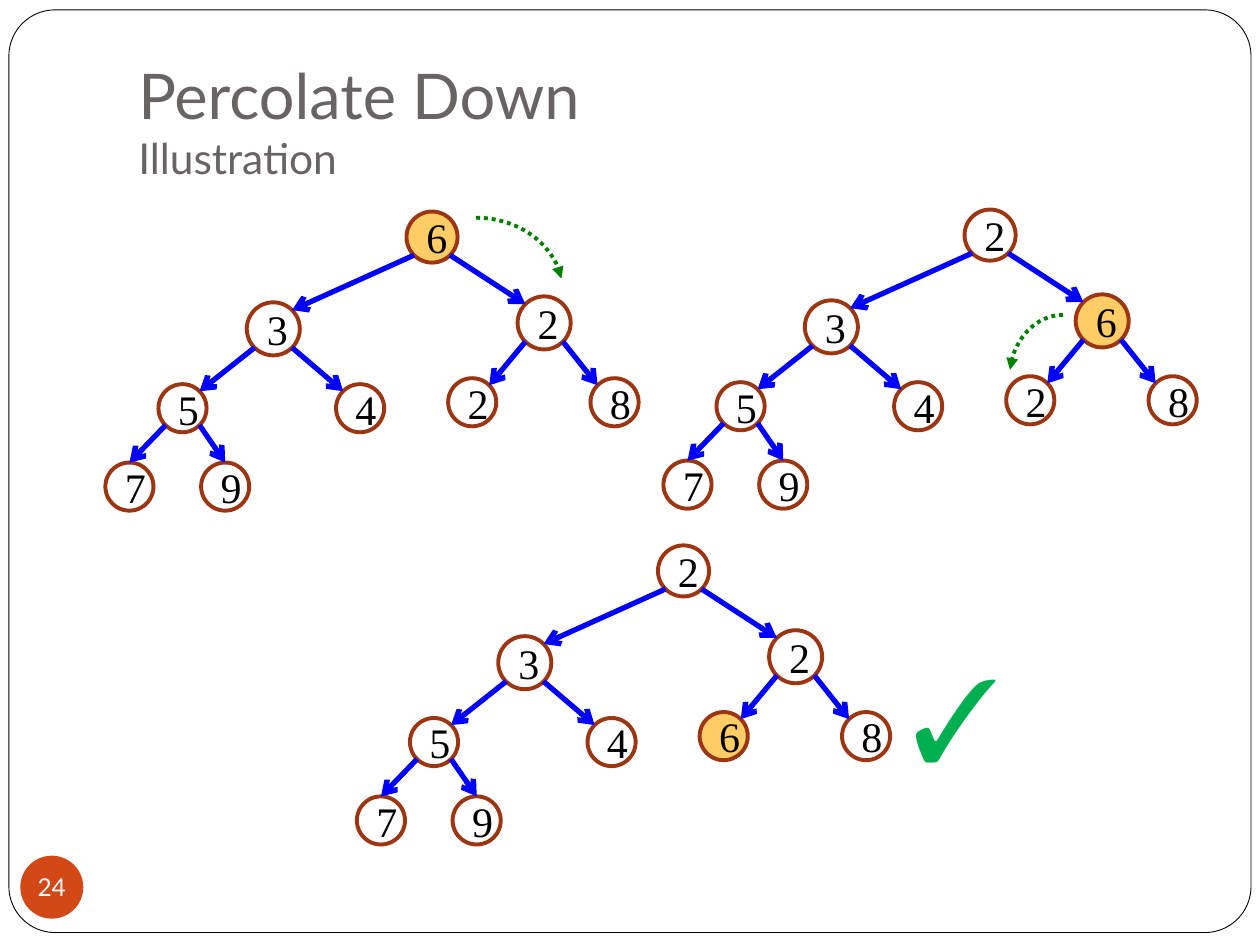
from math import sqrt

from lxml.etree import SubElement
from pptx import Presentation
from pptx.dml.color import RGBColor
from pptx.enum.dml import MSO_LINE
from pptx.enum.shapes import MSO_CONNECTOR, MSO_SHAPE
from pptx.enum.text import MSO_ANCHOR, PP_ALIGN
from pptx.oxml.ns import qn
from pptx.util import Cm, Pt

BLACK = RGBColor(0x00, 0x00, 0x00)
WHITE = RGBColor(0xFF, 0xFF, 0xFF)
GREY = RGBColor(0x69, 0x64, 0x64)
ORANGE = RGBColor(0xD3, 0x48, 0x17)
BROWN = RGBColor(0x9C, 0x35, 0x11)
YELLOW = RGBColor(0xFF, 0xCC, 0x66)
BLUE = RGBColor(0x00, 0x00, 0xFF)
GREEN = RGBColor(0x00, 0x80, 0x00)
TICK_GREEN = RGBColor(0x00, 0xB0, 0x50)

TITLE_FONT = {"name": "Lato", "size": Pt(36), "color": GREY}
SUBTITLE_FONT = {"name": "Lato", "size": Pt(24.3), "color": GREY}
NUMBER_FONT = {"name": "Lato", "size": Pt(14), "color": WHITE}
NODE_FONT = {"name": "Times New Roman", "size": Pt(24), "color": BLACK}
TICK_FONT = {"name": "Times New Roman", "size": Pt(66), "color": TICK_GREEN}

# Heap order: centre x, centre y, diameter in cm, relative to the tree's corner.
NODES = [
    (6.58, 0.51, 1.03),
    (3.38, 2.36, 1.07), (8.84, 2.24, 1.07),
    (1.55, 3.96, 0.97), (5.13, 3.96, 0.97), (7.39, 3.84, 0.97), (10.26, 3.84, 0.97),
    (0.48, 5.54, 0.97), (2.41, 5.54, 0.97),
]
FIRST_BOTTOM_NODE = 7

# Tree corner in cm, node values in heap order, index of the moving node.
TREES = [
    (2.13, 4.27, "632542879", 0),
    (13.38, 4.23, "236542879", 2),
    (7.2, 11, "232546879", 5),
]


def add_span(para, text, style):
    span = para.add_run()
    span.text = text
    for key, value in style.items():
        if key == "color":
            span.font.color.rgb = value
        else:
            setattr(span.font, key, value)


def format_frame(frame, **values):
    for key, value in values.items():
        setattr(frame, key, value)


def add_outline(shapes, preset, box, fill=None, line=None, width=0):
    """Add a preset shape; box is left, top, width, height in cm."""
    shape = shapes.add_shape(preset, *map(Cm, box))
    shape.shadow.inherit = False
    if fill is None:
        shape.fill.background()
    else:
        shape.fill.solid()
        shape.fill.fore_color.rgb = fill
    if line is None:
        shape.line.fill.background()
    else:
        shape.line.color.rgb = line
        shape.line.width = Pt(width)
    return shape


def add_arrowhead(shape, kind):
    SubElement(shape.line._get_or_add_ln(), qn("a:tailEnd"), type=kind)


def add_frame(page, box):
    frame = add_outline(page.shapes, MSO_SHAPE.ROUNDED_RECTANGLE, box, WHITE, BLACK, 0.5)
    frame.adjustments[0] = 0.05


def add_title(page, box):
    frame = page.shapes.add_textbox(*map(Cm, box)).text_frame
    format_frame(frame, word_wrap=True, vertical_anchor=MSO_ANCHOR.BOTTOM,
                 margin_bottom=Cm(0.25))
    para = frame.paragraphs[0]
    add_span(para, "Percolate Down", TITLE_FONT)
    para.add_line_break()
    add_span(para, "Illustration", SUBTITLE_FONT)


def add_page_number(page, box):
    frame = add_outline(page.shapes, MSO_SHAPE.OVAL, box, ORANGE).text_frame
    format_frame(frame, word_wrap=False, vertical_anchor=MSO_ANCHOR.MIDDLE,
                 margin_left=0, margin_top=0, margin_right=0, margin_bottom=0)
    para = frame.paragraphs[0]
    para.alignment = PP_ALIGN.CENTER
    add_span(para, "24", NUMBER_FONT)


def add_node(shapes, x, y, size, value, fill):
    box = (x - size / 2, y - size / 2, size, size)
    node = add_outline(shapes, MSO_SHAPE.OVAL, box, fill, BROWN, 2.25)
    format_frame(node.text_frame, word_wrap=True, vertical_anchor=MSO_ANCHOR.MIDDLE)
    para = node.text_frame.paragraphs[0]
    para.alignment = PP_ALIGN.CENTER
    add_span(para, value, NODE_FONT)


def add_edge(shapes, left, top, child):
    """Join a node to its parent, from rim to rim on the diagonals."""
    parent_x, parent_y, parent_size = NODES[(child - 1) // 2]
    x, y, size = NODES[child]
    side = -1 if child % 2 else 1
    out, reach = parent_size / sqrt(8), size / sqrt(8)
    if child < FIRST_BOTTOM_NODE:
        end = (x - side * reach, y - reach)
    else:
        end = (x, y - size / 2)
    edge = shapes.add_connector(
        MSO_CONNECTOR.STRAIGHT,
        Cm(left + parent_x + side * out), Cm(top + parent_y + out),
        Cm(left + end[0]), Cm(top + end[1]))
    edge.line.color.rgb = BLUE
    edge.line.width = Pt(3)
    add_arrowhead(edge, "arrow")
    SubElement(edge._element.spPr, qn("a:effectLst"))


def add_tree(page, left, top, values, moving):
    shapes = page.shapes.add_group_shape().shapes
    for index, ((x, y, size), value) in enumerate(zip(NODES, values)):
        fill = YELLOW if index == moving else None
        add_node(shapes, left + x, top + y, size, value, fill)
        if index:
            add_edge(shapes, left, top, index)


def add_swap_arc(page, box, flipped=False):
    arc = add_outline(page.shapes, MSO_SHAPE.ARC, box, None, GREEN, 2.25)
    arc.adjustments[0], arc.adjustments[1] = 162, 210.36
    arc.line.dash_style = MSO_LINE.ROUND_DOT
    add_arrowhead(arc, "triangle")
    if flipped:
        arc._element.spPr.get_or_add_xfrm().set("flipH", "1")


def add_tick(page, box):
    frame = page.shapes.add_textbox(*map(Cm, box)).text_frame
    frame.word_wrap = False
    add_span(frame.paragraphs[0], "✓", TICK_FONT)


def main():
    deck = Presentation()
    deck.slide_width, deck.slide_height = Cm(25.4), Cm(19.05)
    page = deck.slides.add_slide(deck.slide_layouts[6])
    add_frame(page, (0.18, 0.2, 25.04, 18.6))
    add_title(page, (2.54, 0.76, 21.59, 3.18))
    add_page_number(page, (0.41, 17.25, 1.27, 1.27))
    for tree in TREES:
        add_tree(page, *tree)
    add_swap_arc(page, (7.85, 4.39, 3.5, 3.02))
    add_swap_arc(page, (20.35, 6.35, 2.16, 2.57), flipped=True)
    add_tick(page, (18.14, 12.9, 2.36, 3.07))
    deck.save("out.pptx")


if __name__ == "__main__":
    main()
